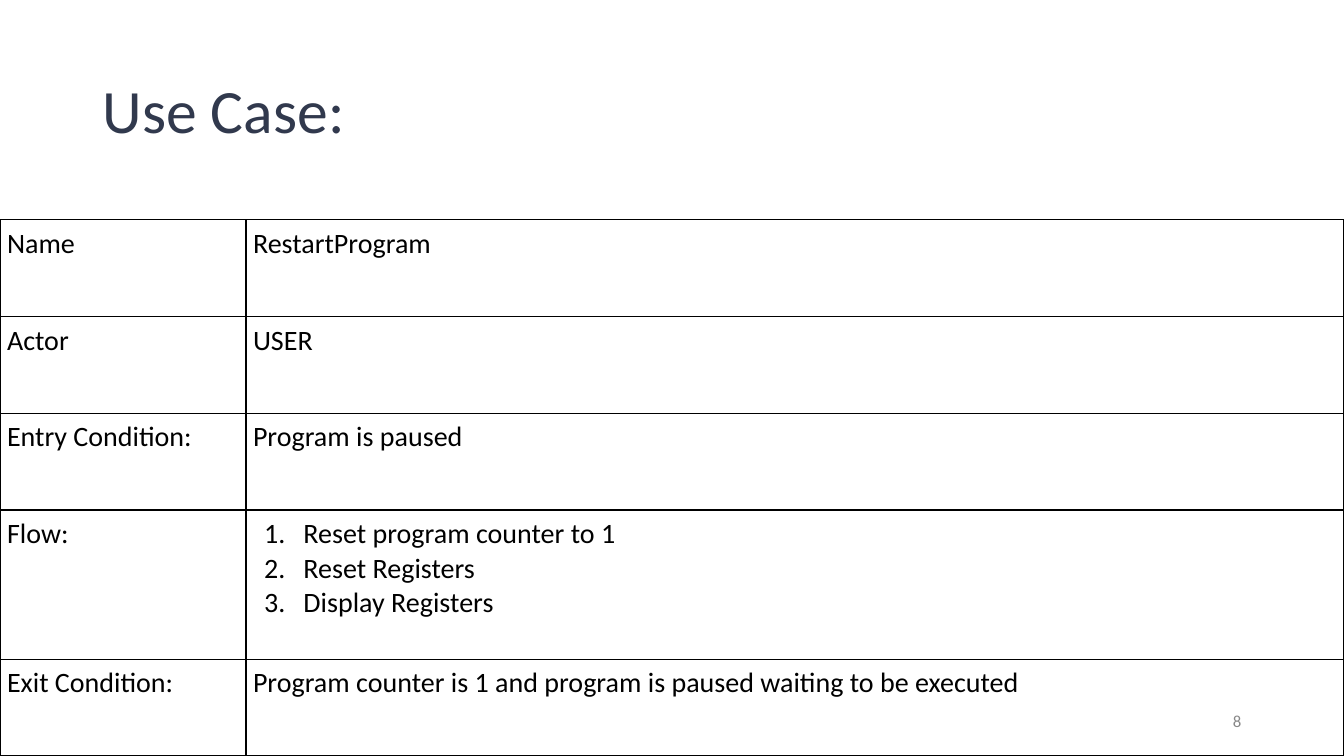
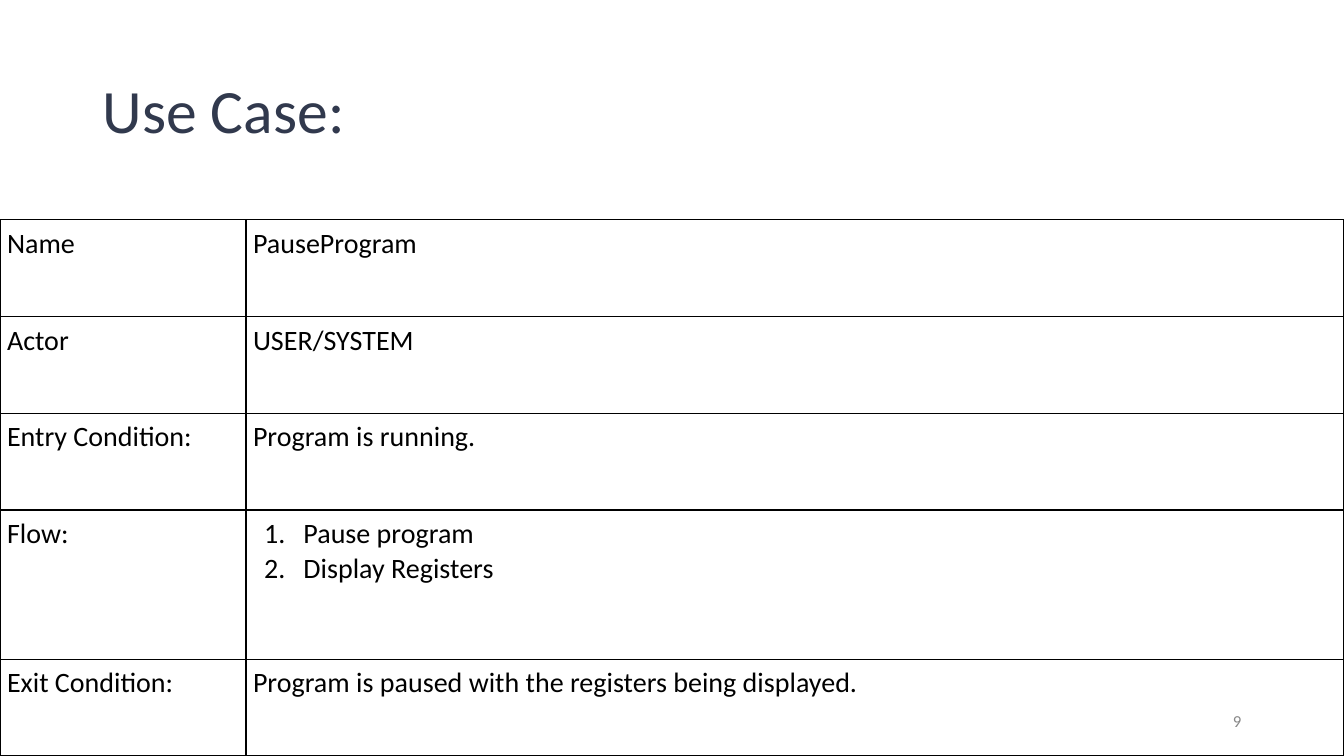
import dataclasses

import lxml.etree
import pptx
import pptx.dml.color
import pptx.enum.text
import pptx.oxml.ns
import pptx.util


@dataclasses.dataclass(frozen=True)
class Theme:
    font: str = "Calibri"
    title_color: str = "31394D"
    text_color: str = "000000"
    number_color: str = "888888"
    title_size: int = 44
    text_size: int = 20
    number_size: int = 12
    border: float = 1


theme = Theme()
inches = pptx.util.Inches
qn = pptx.oxml.ns.qn
align = pptx.enum.text.PP_ALIGN
anchor = pptx.enum.text.MSO_ANCHOR


def add_span(para, text, size, color, alignment):
    para.alignment = alignment
    span = para.add_run()
    span.text = text
    span.font.name = theme.font
    span.font.size = pptx.util.Pt(size)
    span.font.color.rgb = pptx.dml.color.RGBColor.from_string(color)


def add_color(parent, tag, color):
    holder = lxml.etree.SubElement(parent, qn(tag))
    lxml.etree.SubElement(holder, qn("a:srgbClr"), val=color)


labels = ["Name", "Actor", "Entry Condition:", "Flow:", "Exit Condition:"]
use_cases = [
    [
        "RestartProgram",
        "USER",
        "Program is paused",
        ["Reset program counter to 1", "Reset Registers", "Display Registers"],
        "Program counter is 1 and program is paused waiting to be executed",
    ],
    [
        "PauseProgram",
        "USER/SYSTEM",
        "Program is running.",
        ["Pause program", "Display Registers"],
        "Program is paused with the registers being displayed.",
    ],
]
first_number = 8

deck = pptx.Presentation()
deck.slide_width = inches(13.33)
deck.slide_height = inches(7.5)
width, height = deck.slide_width, deck.slide_height

margin = inches(0.92)
label_width = inches(2.44)
column_widths = [label_width, width - label_width]
row_heights = [inches(1.48 if label == "Flow:" else 0.96) for label in labels]
table_height = sum(row_heights)
number_width = inches(3)
cell_inset = inches(0.07)

for number, use_case in enumerate(use_cases, first_number):
    page = deck.slides.add_slide(deck.slide_layouts[5])

    title = page.shapes.title
    title.left, title.top = margin, inches(0.4)
    title.width, title.height = width - 2 * margin, inches(1.45)
    title.text_frame.vertical_anchor = anchor.MIDDLE
    para = title.text_frame.paragraphs[0]
    para.line_spacing = 0.9
    add_span(para, "Use Case:", theme.title_size, theme.title_color, align.LEFT)

    box = page.shapes.add_textbox(
        width - margin - number_width, inches(6.95), number_width, inches(0.4)
    )
    box.text_frame.word_wrap = True
    box.text_frame.vertical_anchor = anchor.MIDDLE
    add_span(box.text_frame.paragraphs[0], str(number),
             theme.number_size, theme.number_color, align.RIGHT)

    table = page.shapes.add_table(
        len(labels), len(column_widths), 0, height - table_height, width, table_height
    ).table
    table.first_row = table.horz_banding = False
    for column, column_width in zip(table.columns, column_widths):
        column.width = column_width

    for row, row_height, *contents in zip(table.rows, row_heights, labels, use_case):
        row.height = row_height
        for cell, content in zip(row.cells, contents):
            cell.margin_left = cell.margin_right = cell_inset
            cell.margin_top = cell.margin_bottom = cell_inset
            properties = cell._tc.get_or_add_tcPr()
            for side in ("L", "R", "T", "B"):
                line = lxml.etree.SubElement(
                    properties, qn(f"a:ln{side}"), w=str(pptx.util.Pt(theme.border))
                )
                add_color(line, "a:solidFill", theme.text_color)
            cell.fill.background()

            numbered = isinstance(content, list)
            for index, text in enumerate(content if numbered else [content]):
                frame = cell.text_frame
                para = frame.add_paragraph() if index else frame.paragraphs[0]
                add_span(para, text, theme.text_size, theme.text_color, align.JUSTIFY)
                if numbered:
                    style = para._p.get_or_add_pPr()
                    style.set("marL", str(inches(0.5)))
                    style.set("indent", str(inches(-0.39)))
                    add_color(style, "a:buClr", theme.text_color)
                    lxml.etree.SubElement(style, qn("a:buFont"), typeface=theme.font)
                    lxml.etree.SubElement(style, qn("a:buAutoNum"), type="arabicPeriod")

deck.save("out.pptx")
